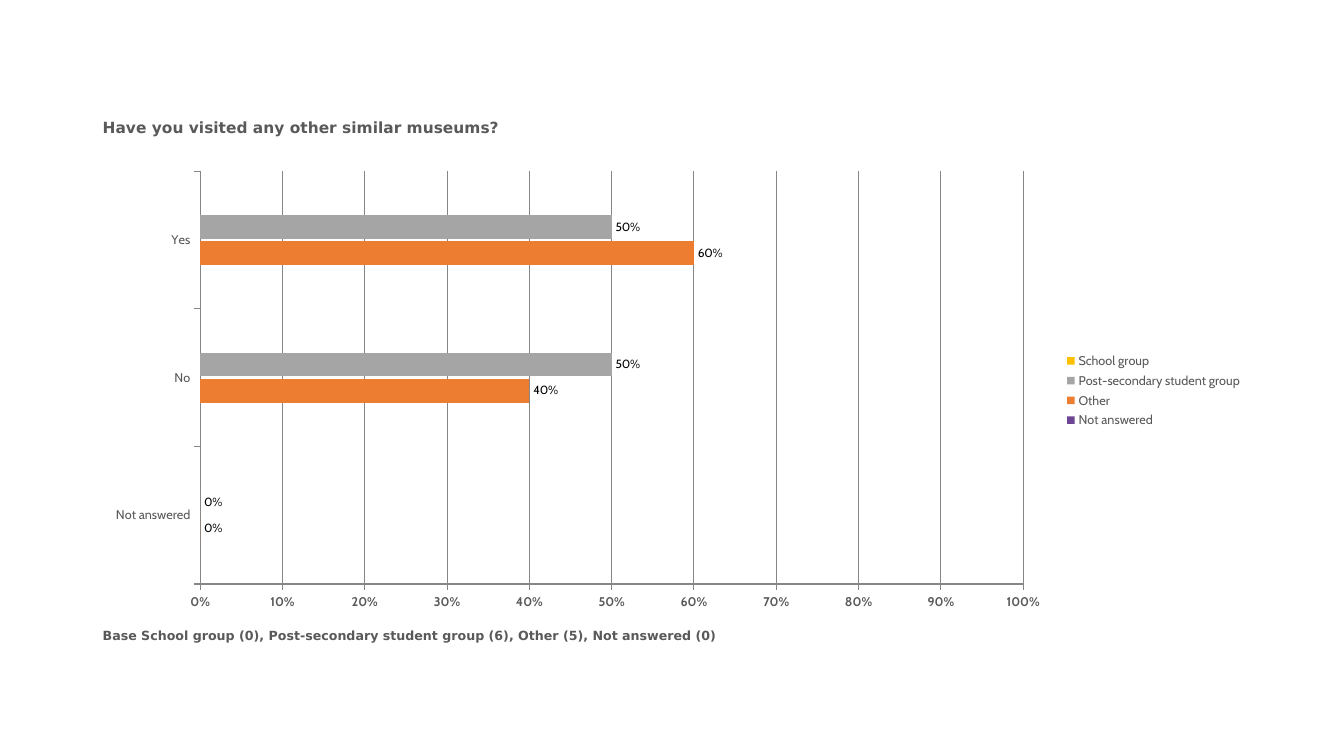
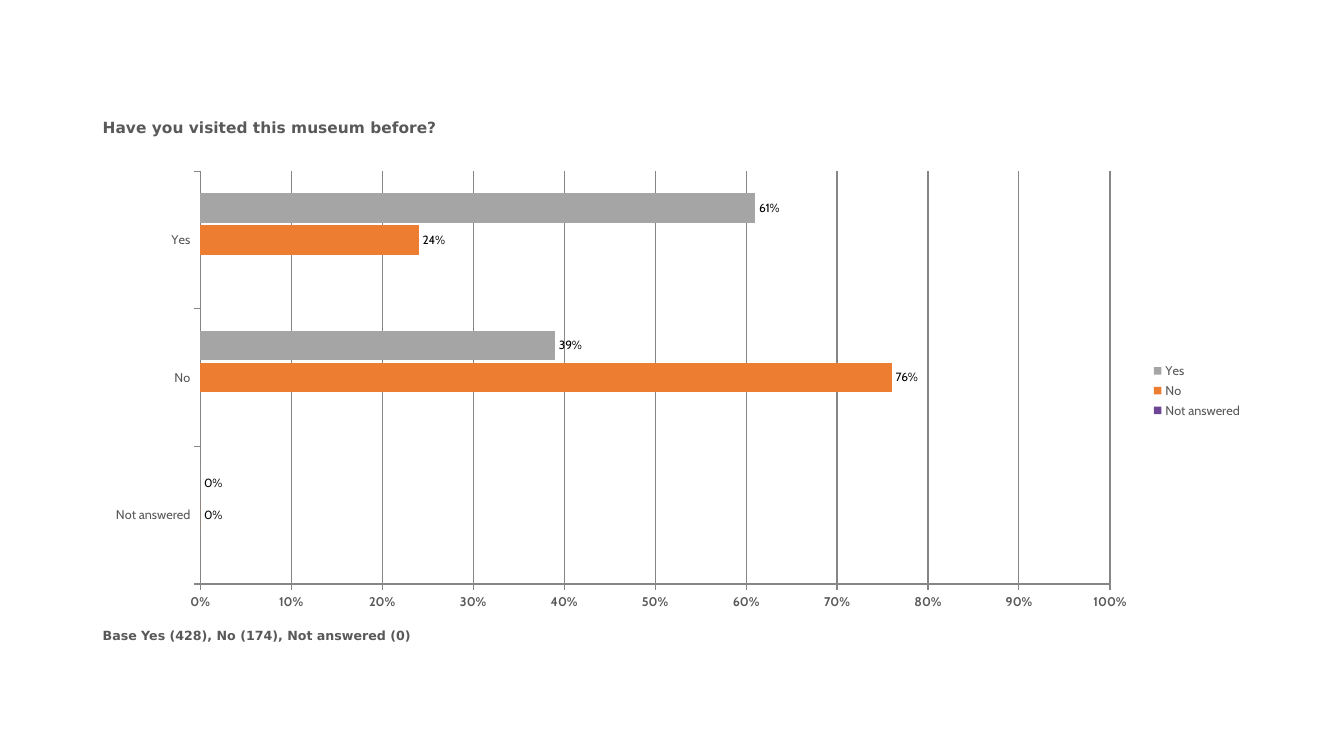
"""Build two survey slides, each with a title, a bar chart and a base line."""
from pptx import Presentation
from pptx.chart.data import CategoryChartData
from pptx.dml.color import RGBColor
from pptx.enum import chart as kinds
from pptx.util import Inches, Pt

HUES = {"text": "595959", "label": "000000", "line": "868686",
        "none": "6E4595", "orange": "ED7D31", "grey": "A5A5A5", "gold": "FFC000"}
LEFT, WIDTH = Inches(0.92), Inches(11.5)
CATS = ["Not answered", "No", "Yes"]
BLANK = [None] * len(CATS)

PAGES = [
    {"title": "Have you visited any other similar museums?",
     "base": "Base School group (0), Post-secondary student group (6), Other (5), Not answered (0)",
     "rows": [("Not answered", "none", BLANK),
              ("Other", "orange", [0, 0.4, 0.6]),
              ("Post-secondary student group", "grey", [0, 0.5, 0.5]),
              ("School group", "gold", BLANK)]},
    {"title": "Have you visited this museum before?",
     "base": "Base Yes (428), No (174), Not answered (0)",
     "rows": [("Not answered", "none", BLANK),
              ("No", "orange", [0, 0.76, 0.24]),
              ("Yes", "grey", [0, 0.39, 0.61])]},
]


def style(font, size=9, name="Cabin", hue="text", bold=False):
    font.size, font.name, font.bold = Pt(size), name, bold
    font.color.rgb = RGBColor.from_string(HUES[hue])


def write(slide, words, top, height, **form):
    frame = slide.shapes.add_textbox(LEFT, Inches(top), WIDTH, Inches(height)).text_frame
    frame.word_wrap = True
    run = frame.paragraphs[0].add_run()
    run.text = words
    style(run.font, name="DejaVu Sans", bold=True, **form)


deck = Presentation()
deck.slide_width, deck.slide_height = Inches(13.33), Inches(7.5)

for page in PAGES:
    slide = deck.slides.add_slide(deck.slide_layouts[6])
    write(slide, page["title"], 1.12, 0.51, size=11)
    write(slide, page["base"], 6.18, 0.43)

    data = CategoryChartData(number_format="0%")
    data.categories = CATS
    for name, hue, vals in page["rows"]:
        data.add_series(name, vals)
    chart = slide.shapes.add_chart(kinds.XL_CHART_TYPE.BAR_CLUSTERED, LEFT, Inches(1.61),
                                   WIDTH, Inches(4.53), data).chart
    chart.has_title = False
    style(chart.font, size=18, name="Calibri", hue="label")
    chart.has_legend = True
    chart.legend.position = kinds.XL_LEGEND_POSITION.RIGHT
    chart.legend.include_in_layout = False
    style(chart.legend.font)

    cat, val = chart.category_axis, chart.value_axis
    val.minimum_scale, val.maximum_scale, val.major_unit = 0, 1, 0.1
    val.has_major_gridlines = True
    val.tick_labels.number_format = "0%"
    val.tick_labels.number_format_is_linked = False
    for axis in (cat, val):
        axis.tick_label_position = kinds.XL_TICK_LABEL_POSITION.LOW
        axis.major_tick_mark = kinds.XL_TICK_MARK.OUTSIDE
        axis.minor_tick_mark = kinds.XL_TICK_MARK.NONE
        style(axis.tick_labels.font, bold=axis is val)
    for part in (cat, val, val.major_gridlines):
        part.format.line.width = Pt(0.75)
        part.format.line.color.rgb = RGBColor.from_string(HUES["line"])

    plot = chart.plots[0]
    plot.gap_width, plot.overlap, plot.vary_by_categories = 150, -10, False
    for bar, (name, hue, vals) in zip(plot.series, page["rows"]):
        bar.format.fill.solid()
        bar.format.fill.fore_color.rgb = RGBColor.from_string(HUES[hue])
        bar.invert_if_negative = False
        tags = bar.data_labels
        tags.show_value = True
        tags.position = kinds.XL_LABEL_POSITION.OUTSIDE_END
        tags.number_format, tags.number_format_is_linked = "0%", False
        style(tags.font, size=8.5, hue="label")

deck.save("out.pptx")
